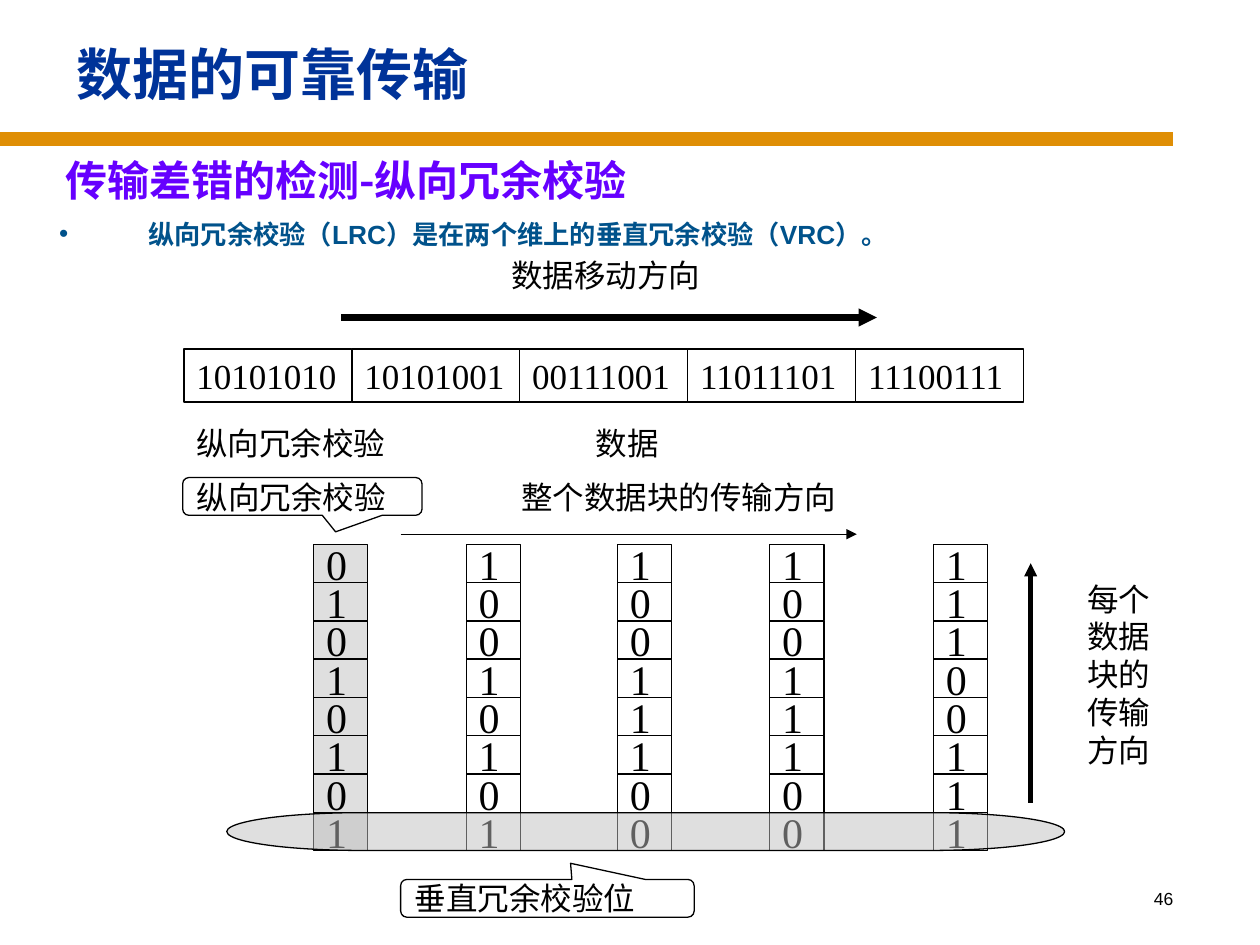
from lxml.etree import SubElement
from pptx import Presentation
from pptx.dml.color import RGBColor
from pptx.enum.shapes import MSO_CONNECTOR, MSO_SHAPE
from pptx.enum.text import MSO_ANCHOR, PP_ALIGN
from pptx.oxml.ns import qn
from pptx.util import Inches, Pt

BLACK, WHITE, GRAY = "000000", "FFFFFF", "C0C0C0"
SERIF, CJK = "Times New Roman", "Noto Sans CJK SC"

WORDS = ["10101010", "10101001", "00111001", "11011101", "11100111"]
WORD_LEFT, WORD_WIDTH = 1.46, 1.333
# Left edge, fill and bits (top to bottom) of each transmitted block
BIT_COLUMNS = [
    (2.49, GRAY, "01010101"),
    (3.70, WHITE, "10010101"),
    (4.90, WHITE, "10011100"),
    (6.11, WHITE, "10011100"),
    (7.41, WHITE, "11100111"),
]
BIT_TOP, BIT_PITCH, BIT_WIDTH = 4.32, 0.304, 0.43
# Position, text
LABELS = [
    ((3.96, 2.02, 1.75, 0.33), "数据移动方向"),
    ((4.63, 3.35, 1.75, 0.33), "数据"),
    ((1.46, 3.35, 1.75, 0.33), "纵向冗余校验"),
    ((4.04, 3.79, 2.33, 0.30), "整个数据块的传输方向"),
    ((8.53, 4.40, 0.52, 1.90), "每个\n数据\n块的\n传输\n方向"),
]
# Position, text, pointer offset
CALLOUTS = [
    ((1.45, 3.79, 1.9, 0.3), "纵向冗余校验", (0.139, 0.938)),
    ((3.18, 6.98, 2.33, 0.3), "垂直冗余校验位", (0.079, -0.927)),
]
# Start, end, width
ARROWS = [
    ((2.71, 2.52), (6.96, 2.52), 3.5),
    ((3.18, 4.24), (6.8, 4.24), 0.75),
    ((8.18, 6.37), (8.18, 4.47), 2.5),
]


def rgb(color):
    return RGBColor.from_string(color)


def inches(values):
    return [Inches(value) for value in values]


def write(shape, text, size, color=BLACK, font=SERIF, bold=False,
          align=PP_ALIGN.LEFT, anchor=MSO_ANCHOR.MIDDLE, wrap=True):
    frame = shape.text_frame
    frame.text = text
    frame.word_wrap = wrap
    frame.vertical_anchor = anchor
    font_format = {"name": font, "size": Pt(size), "bold": bold}
    for paragraph in frame.paragraphs:
        paragraph.alignment = align
        for run in paragraph.runs:
            for name, value in font_format.items():
                setattr(run.font, name, value)
            run.font.color.rgb = rgb(color)
            east_asian = SubElement(run.font._element, qn("a:ea"))
            east_asian.set("typeface", CJK)


def add_text(slide, position, text, size, **text_format):
    box = slide.shapes.add_textbox(*inches(position))
    write(box, text, size, **text_format)
    return box.text_frame.paragraphs[0]


def add_shape(slide, kind, position, fill=WHITE, line=BLACK):
    """Add a half-transparent outlined shape."""
    shape = slide.shapes.add_shape(kind, *inches(position))
    shape.shadow.inherit = False
    shape.fill.solid()
    shape.fill.fore_color.rgb = rgb(fill)
    color = shape.fill._xPr.find(".//" + qn("a:srgbClr"))
    SubElement(color, qn("a:alpha")).set("val", "50000")
    shape.line.color.rgb = rgb(line)
    shape.line.width = Pt(0.75)
    return shape


def add_box(slide, position, text, size, fill=WHITE, line=BLACK):
    box = add_shape(slide, MSO_SHAPE.RECTANGLE, position, fill, line)
    write(box, text, size, wrap=False)


def add_callout(slide, position, text, pointer):
    callout = add_shape(slide, MSO_SHAPE.ROUNDED_RECTANGULAR_CALLOUT, position)
    for index, value in enumerate((*pointer, 0.167)):
        callout.adjustments[index] = value
    write(callout, text, 18)


def add_line(slide, start, end, width, color=BLACK, arrow=True):
    line = slide.shapes.add_connector(
        MSO_CONNECTOR.STRAIGHT, *inches(start), *inches(end))
    line.line.color.rgb = rgb(color)
    line.line.width = Pt(width)
    if arrow:
        SubElement(line.line._get_or_add_ln(), qn("a:tailEnd")).set("type", "triangle")
    SubElement(line._element.spPr, qn("a:effectLst"))


def set_indent(paragraph, margin, indent=0, bullet=None):
    properties = paragraph._p.get_or_add_pPr()
    properties.set("marL", str(Inches(margin)))
    properties.set("indent", str(Inches(indent)))
    if bullet:
        SubElement(properties, qn("a:buFont")).set("typeface", "Arial")
        SubElement(properties, qn("a:buChar")).set("char", bullet)


def add_headings(slide):
    add_line(slide, (0, 1.1), (9.31, 1.1), 8, "DF8E05", arrow=False)
    title = add_text(slide, (0.42, 0.16, 9, 0.84), "数据的可靠传输", 32,
                     color="003399", bold=True)
    set_indent(title, 0.09)
    add_text(slide, (0.42, 1.18, 5.79, 0.5), "传输差错的检测-纵向冗余校验", 24,
             color="6600FF", font=CJK, bold=True, anchor=MSO_ANCHOR.TOP)
    point = add_text(slide, (0.27, 1.68, 9.02, 0.3),
                     "纵向冗余校验（LRC）是在两个维上的垂直冗余校验（VRC）。", 15,
                     color="00528B", font="Arial", bold=True,
                     anchor=MSO_ANCHOR.TOP)
    point.space_before = Pt(3)
    set_indent(point, 0.81, -0.71, "•")
    add_text(slide, (7.33, 7, 2.08, 0.5), "46", 10, font="Arial",
             align=PP_ALIGN.RIGHT, anchor=MSO_ANCHOR.TOP)


def add_bit_columns(slide):
    for left, fill, bits in BIT_COLUMNS:
        for row, bit in enumerate(bits):
            top = BIT_TOP + row * BIT_PITCH
            add_box(slide, (left, top, BIT_WIDTH, BIT_PITCH), bit, 24, fill)
    add_shape(slide, MSO_SHAPE.FLOWCHART_TERMINATOR, (1.8, 6.45, 6.65, 0.3), GRAY)


def add_words(slide):
    for index, word in enumerate(WORDS):
        left = WORD_LEFT + index * WORD_WIDTH
        add_box(slide, (left, 2.77, WORD_WIDTH, 0.42), word, 20)


def main():
    presentation = Presentation()
    presentation.slide_width = Inches(10)
    presentation.slide_height = Inches(7.5)
    slide = presentation.slides.add_slide(presentation.slide_layouts[6])
    add_headings(slide)
    add_bit_columns(slide)
    add_words(slide)
    for position, text in LABELS:
        add_box(slide, position, text, 18, line=WHITE)
    for callout in CALLOUTS:
        add_callout(slide, *callout)
    for arrow in ARROWS:
        add_line(slide, *arrow)
    presentation.save("out.pptx")


if __name__ == "__main__":
    main()
